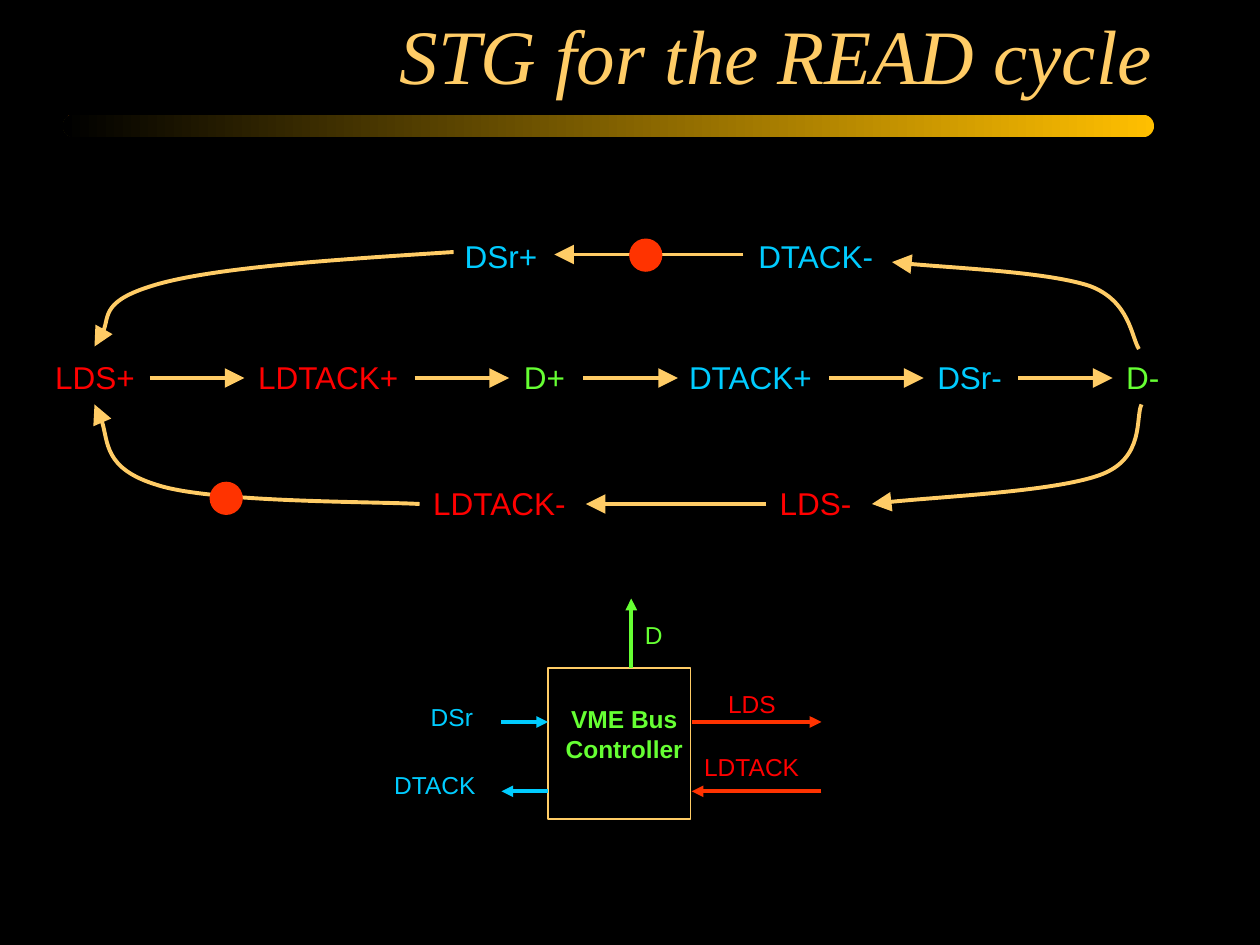
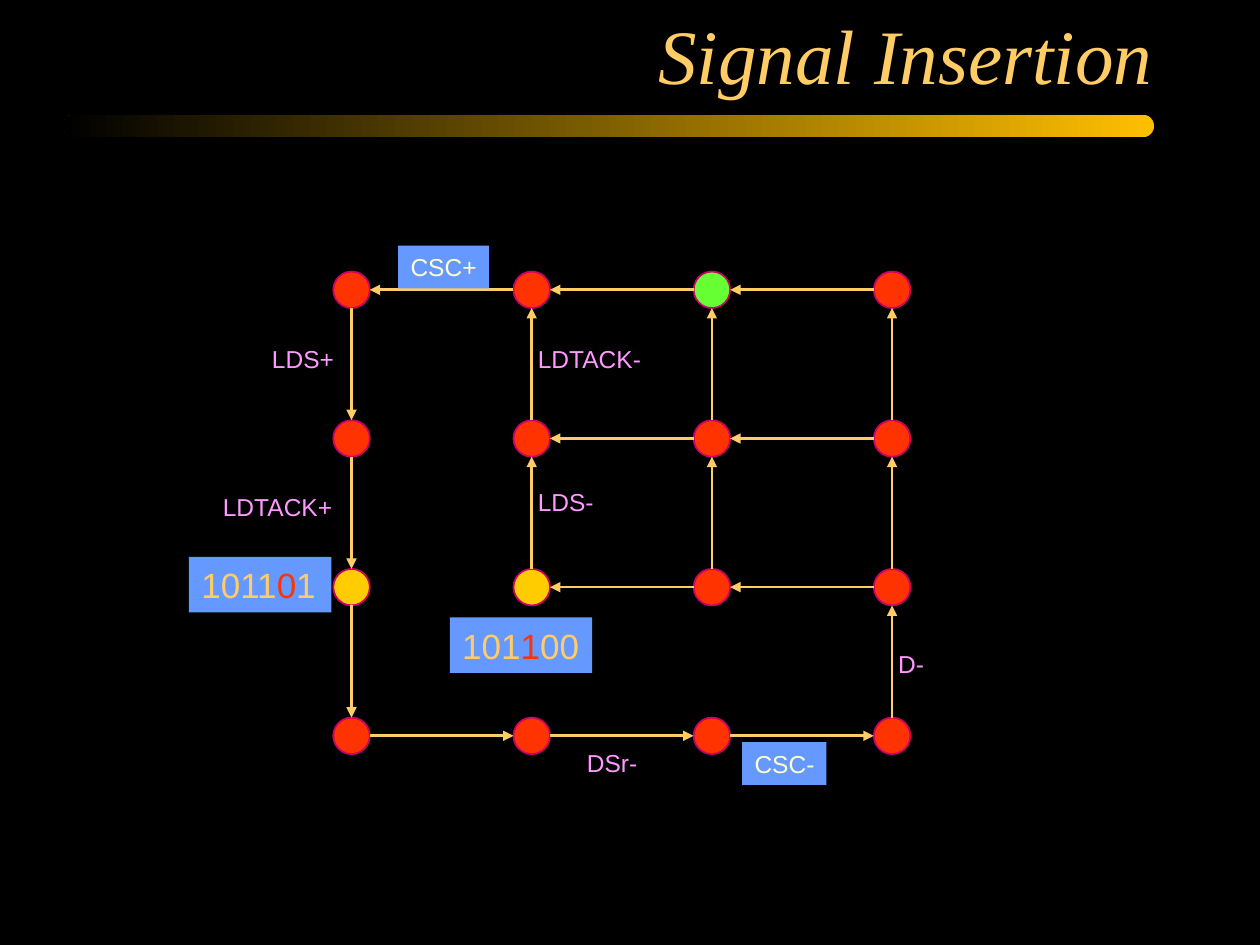
"""Build two slides on the READ cycle: its signal graph and its state grid."""
import dataclasses

import lxml.etree
import pptx
import pptx.dml.color
import pptx.enum.shapes
import pptx.enum.text
import pptx.oxml.ns
import pptx.util


@dataclasses.dataclass(frozen=True)
class Theme:
    black: str = "000000"
    amber: str = "FFBF00"
    sand: str = "FFCC66"
    red: str = "FF0000"
    flame: str = "FF3300"
    green: str = "66FF33"
    cyan: str = "00CCFF"
    gold: str = "FFCC00"
    plum: str = "CC0066"
    pink: str = "FF99FF"
    blue: str = "6699FF"
    cream: str = "FFFFCC"
    serif: str = "Times New Roman"
    sans: str = "Arial"
    head: int = 44
    code: int = 20
    event: int = 18
    small: int = 14


theme = Theme()
rgb = pptx.dml.color.RGBColor.from_string
kinds = pptx.enum.shapes.MSO_SHAPE
sides = pptx.enum.text.PP_ALIGN
fits = pptx.enum.text.MSO_AUTO_SIZE


def write(shape, text, color, size, font=theme.sans, align=sides.LEFT,
          bold=False, slant=False, wrap=False, hot=None):
    """Fill a shape with text, with the character at index hot in flame red."""
    frame = shape.text_frame
    frame.word_wrap = wrap
    frame.auto_size = fits.NONE if wrap else fits.SHAPE_TO_FIT_TEXT
    if align == sides.LEFT:
        frame.margin_right = pptx.util.Inches(0.05)
    for row, line in enumerate(text.split("\n")):
        para = frame.add_paragraph() if row else frame.paragraphs[0]
        para.alignment = align
        parts = [(line, color)]
        if hot is not None:
            parts = [(line[:hot], color), (line[hot], theme.flame), (line[hot + 1:], color)]
        for part, tint in parts:
            run = para.add_run()
            run.text = part
            run.font.name, run.font.size = font, pptx.util.Pt(size)
            run.font.bold, run.font.italic = bold, slant
            run.font.color.rgb = rgb(tint)


def arrow(slide, points, color=theme.sand, width=2.25, tip="med"):
    """Draw an arrow: straight for two points, else a chain of cubic curves."""
    spots = [tuple(map(pptx.util.Inches, spot)) for spot in points]
    if len(spots) == 2:
        shape = slide.shapes.add_connector(
            pptx.enum.shapes.MSO_CONNECTOR.STRAIGHT, *spots[0], *spots[1])
    else:
        pen = slide.shapes.build_freeform(*spots[0])
        pen.add_line_segments(spots[1:], close=False)
        shape = pen.convert_to_shape()
        shape.fill.background()
        route = shape.element.find(".//" + pptx.oxml.ns.qn("a:path"))
        steps = route.findall(pptx.oxml.ns.qn("a:lnTo"))
        for first in range(0, len(steps), 3):
            curve = lxml.etree.SubElement(route, pptx.oxml.ns.qn("a:cubicBezTo"))
            for step in steps[first:first + 3]:
                curve.append(step[0])
                route.remove(step)
    shape.line.color.rgb = rgb(color)
    shape.line.width = pptx.util.Pt(width)
    edge = shape.element.find(".//" + pptx.oxml.ns.qn("a:ln"))
    lxml.etree.SubElement(edge, pptx.oxml.ns.qn("a:tailEnd"), type="triangle", w=tip, len=tip)
    lxml.etree.SubElement(edge.getparent(), pptx.oxml.ns.qn("a:effectLst"))


deck = pptx.Presentation()
deck.slide_width, deck.slide_height = pptx.util.Inches(10), pptx.util.Inches(7.5)
back = deck.slide_master.background.fill
back.solid()
back.fore_color.rgb = rgb(theme.black)

layout = deck.slide_layouts[5]
spot = layout.placeholders[0]
spot.left, spot.top, spot.width, spot.height = map(pptx.util.Inches, (0.75, 0.09, 8.5, 0.75))

slides = []
for text in ("STG for the READ cycle", "Signal Insertion"):
    slide = deck.slides.add_slide(layout)
    title = slide.shapes.title
    title.text_frame.vertical_anchor = pptx.enum.text.MSO_ANCHOR.BOTTOM
    write(title, text, theme.sand, theme.head, font=theme.serif,
          align=sides.RIGHT, slant=True, wrap=True)
    slides.append(slide)
cycle, states = slides

band = cycle.shapes.add_shape(
    kinds.ROUNDED_RECTANGLE, *map(pptx.util.Inches, (0.5, 0.91, 8.66, 0.18)))
band.adjustments[0] = 0.5
band.shadow.inherit = False
band.line.fill.background()
band.fill.gradient()
band.fill.gradient_angle = 180
for stop, color in zip(band.fill.gradient_stops, (theme.amber, theme.black)):
    stop.color.rgb = rgb(color)
layout.shapes.element.insert(2, band.element)

events = [
    ("LDS+", 0.34, 2.79, 0.83, theme.red),
    ("LDTACK+", 1.95, 2.79, 1.33, theme.red),
    ("D+", 4.06, 2.79, 0.52, theme.green),
    ("DTACK+", 5.37, 2.79, 1.19, theme.cyan),
    ("DSr-", 7.34, 2.79, 0.71, theme.cyan),
    ("D-", 8.84, 2.79, 0.46, theme.green),
    ("DTACK-", 5.92, 1.83, 1.13, theme.cyan),
    ("LDS-", 6.09, 3.79, 0.77, theme.red),
    ("LDTACK-", 3.34, 3.79, 1.27, theme.red),
    ("DSr+", 3.59, 1.83, 0.77, theme.cyan),
]
for text, left, top, width, color in events:
    box = cycle.shapes.add_textbox(*map(pptx.util.Inches, (left, top, width, 0.4)))
    write(box, text, color, theme.event)

for left in (1.19, 3.29, 4.63, 6.58, 8.08):
    arrow(cycle, [(left, 3), (left + 0.75, 3)], tip="lg")
flows = [
    [(6.08, 4), (4.65, 4)],
    [(5.9, 2.02), (4.4, 2.02)],
    [(3.6, 2), (2.67, 2.06), (1.75, 2.12), (1.27, 2.25),
     (0.8, 2.38), (0.86, 2.65), (0.75, 2.75)],
    [(3.33, 4), (2.99, 3.98), (1.68, 3.99), (1.25, 3.85),
     (0.82, 3.72), (0.85, 3.34), (0.75, 3.21)],
    [(9.04, 2.77), (8.98, 2.68), (8.97, 2.39), (8.65, 2.27),
     (8.32, 2.16), (7.41, 2.12), (7.08, 2.08)],
    [(9.06, 3.21), (9.01, 3.31), (9.09, 3.64), (8.73, 3.77),
     (8.37, 3.9), (7.29, 3.95), (6.92, 4)],
]
for points in flows:
    arrow(cycle, points, tip="lg")

for left, top in ((5, 1.9), (1.67, 3.83)):
    token = cycle.shapes.add_shape(kinds.OVAL, *map(pptx.util.Inches, (left, top, 0.25, 0.25)))
    token.shadow.inherit = False
    token.fill.solid()
    token.fill.fore_color.rgb = token.line.color.rgb = rgb(theme.flame)
    token.line.width = pptx.util.Pt(1)

chip = cycle.shapes.add_shape(kinds.RECTANGLE, *map(pptx.util.Inches, (4.35, 5.3, 1.13, 1.2)))
chip.shadow.inherit = False
chip.fill.background()
chip.line.color.rgb = rgb(theme.sand)
chip.line.width = pptx.util.Pt(1)

wires = [
    ((6.52, 6.28), (5.49, 6.28), theme.flame),
    ((5.49, 5.73), (6.52, 5.73), theme.flame),
    ((5.01, 5.3), (5.01, 4.75), theme.green),
    ((3.98, 5.73), (4.35, 5.73), theme.cyan),
    ((4.35, 6.28), (3.98, 6.28), theme.cyan),
]
for start, end, color in wires:
    arrow(cycle, [start, end], color)

labels = [
    (cycle, "LDS", 5.68, 5.42, 0.58, theme.red),
    (cycle, "LDTACK", 5.49, 5.92, 0.97, theme.red),
    (cycle, "D", 5.02, 4.87, 0.34, theme.green),
    (cycle, "DSr", 3.32, 5.52, 0.53, theme.cyan),
    (cycle, "DTACK", 3.03, 6.06, 0.86, theme.cyan),
    (states, "LDS-", 4.17, 3.82, 0.64, theme.pink),
    (states, "LDTACK-", 4.17, 2.68, 1.03, theme.pink),
    (states, "D-", 7.03, 5.1, 0.4, theme.pink),
    (states, "DSr-", 4.56, 5.89, 0.6, theme.pink),
    (states, "LDTACK+", 1.67, 3.86, 1.08, theme.pink),
    (states, "LDS+", 2.06, 2.68, 0.69, theme.pink),
]
for slide, text, left, top, width, color in labels:
    box = slide.shapes.add_textbox(*map(pptx.util.Inches, (left, top, width, 0.34)))
    write(box, text, color, theme.small)
box = cycle.shapes.add_textbox(*map(pptx.util.Inches, (4.39, 5.54, 1.13, 0.57)))
write(box, "VME Bus\nController", theme.green, theme.small, align=sides.CENTER, bold=True)

left, top, across, down, size = 2.79, 2.3, 1.43, 1.18, 0.29
tints = {(2, 0): theme.green, (0, 2): theme.gold, (1, 2): theme.gold}
for row in range(4):
    for col in range(4):
        node = states.shapes.add_shape(kinds.OVAL, *map(pptx.util.Inches, (
            left + col * across - size / 2, top + row * down - size / 2, size, size)))
        node.shadow.inherit = False
        node.fill.solid()
        node.fill.fore_color.rgb = rgb(tints.get((col, row), theme.flame))
        node.line.color.rgb = rgb(theme.plum)
        node.line.width = pptx.util.Pt(1)

walks = [
    (3, 0, -1, 0, 3), (3, 1, -1, 0, 2), (3, 2, -1, 0, 2), (0, 3, 1, 0, 3),
    (0, 0, 0, 1, 3), (1, 2, 0, -1, 2), (2, 2, 0, -1, 2), (3, 3, 0, -1, 3),
]
for col, row, right, fall, count in walks:
    for step in range(count):
        x = left + (col + step * right) * across
        y = top + (row + step * fall) * down
        gap = size / 2
        arrow(states, [(x + right * gap, y + fall * gap),
                       (x + right * (across - gap), y + fall * (down - gap))], width=1.5)

tags = [
    ("CSC-", 5.89, 5.89, 0.67, 0.34, theme.cream, theme.small, None),
    ("CSC+", 3.16, 1.95, 0.72, 0.34, theme.cream, theme.small, None),
    ("101101", 1.5, 4.42, 1.13, 0.44, theme.sand, theme.code, 4),
    ("101100", 3.57, 4.9, 1.13, 0.44, theme.sand, theme.code, 3),
]
for text, *place, color, points, hot in tags:
    tag = states.shapes.add_shape(kinds.RECTANGLE, *map(pptx.util.Inches, place))
    tag.shadow.inherit = False
    tag.fill.solid()
    tag.fill.fore_color.rgb = rgb(theme.blue)
    tag.line.fill.background()
    write(tag, text, color, points, hot=hot)

deck.save("out.pptx")
